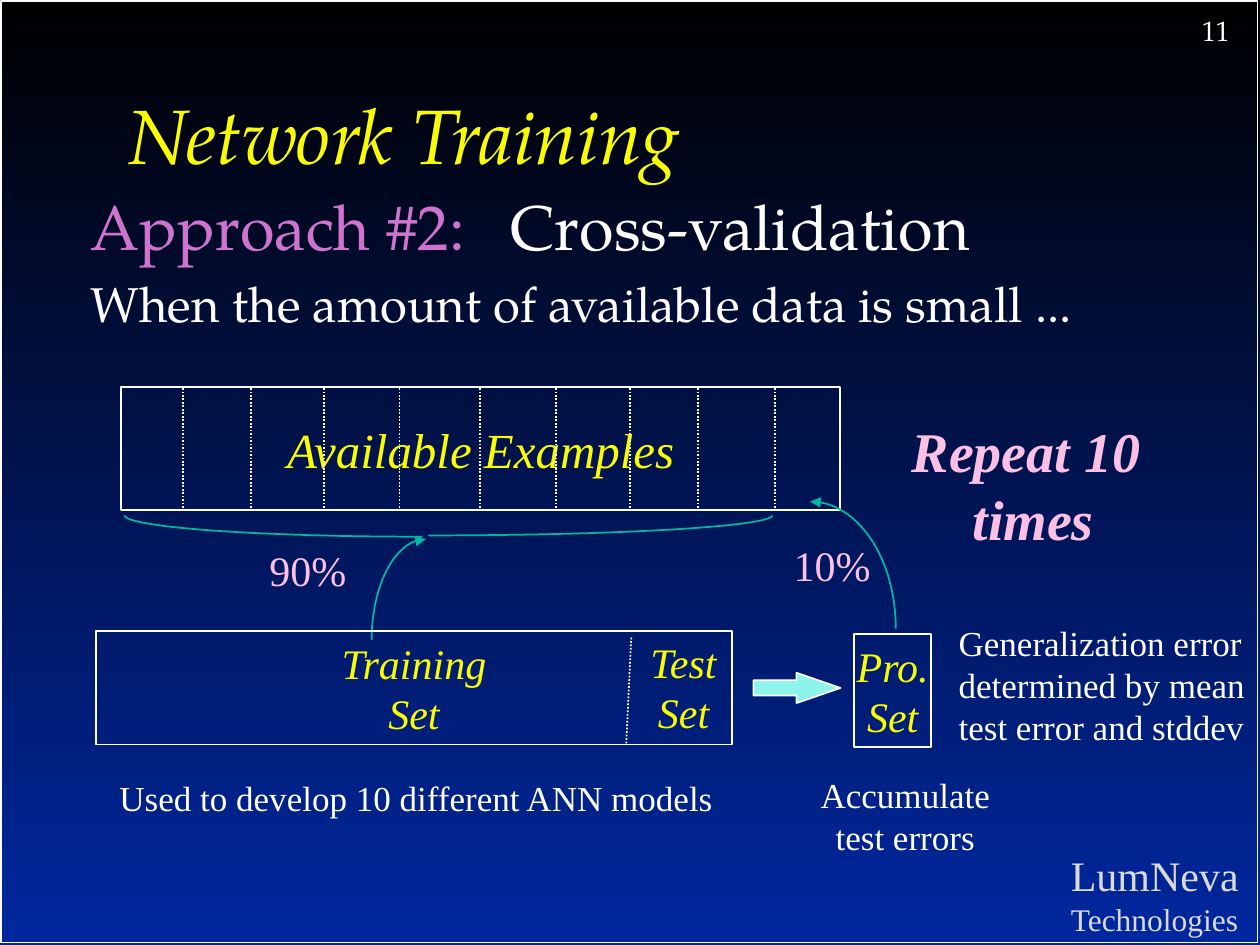
from math import cos, pi, sin

from lxml.etree import SubElement
from pptx import Presentation
from pptx.dml.color import RGBColor
from pptx.enum.dml import MSO_LINE
from pptx.enum.shapes import MSO_CONNECTOR, MSO_SHAPE
from pptx.enum.text import MSO_ANCHOR, MSO_AUTO_SIZE, PP_ALIGN
from pptx.oxml.ns import qn
from pptx.util import Inches, Pt

BLACK = RGBColor(0x00, 0x00, 0x00)
BLUE = RGBColor(0x00, 0x27, 0x9F)
WHITE = RGBColor(0xFF, 0xFF, 0xFF)
GRAY = RGBColor(0xDA, 0xDA, 0xDA)
YELLOW = RGBColor(0xFA, 0xFD, 0x00)
PURPLE = RGBColor(0xD0, 0x73, 0xCE)
PINK = RGBColor(0xFD, 0xC0, 0xE5)
TEAL = RGBColor(0x00, 0xB7, 0xA5)
AQUA = RGBColor(0x8C, 0xF4, 0xEA)
SERIF = "Times New Roman"
PALATINO = "TeX Gyre Pagella"
CENTER = PP_ALIGN.CENTER
MIDDLE = MSO_ANCHOR.MIDDLE


def format_run(run, size, color, font=SERIF, bold=False, italic=False):
    """Set the character format of a run."""
    run.font.size, run.font.name = Pt(size), font
    run.font.bold, run.font.italic = bold, italic
    run.font.color.rgb = color


def write(shape, text, size, color=WHITE, align=PP_ALIGN.LEFT,
          anchor=MSO_ANCHOR.TOP, wrap=False, **style):
    """Write each line of text as a formatted paragraph of the shape."""
    frame = shape.text_frame
    frame.auto_size = MSO_AUTO_SIZE.NONE
    frame.word_wrap, frame.vertical_anchor = wrap, anchor
    for index, line in enumerate(text.split("\n")):
        paragraph = frame.add_paragraph() if index else frame.paragraphs[0]
        paragraph.alignment = align
        run = paragraph.add_run()
        run.text = line
        format_run(run, size, color, **style)
    return frame


def add_text(slide, box, text, size, **style):
    """Add a text box at the given box in inches."""
    return write(slide.shapes.add_textbox(*map(Inches, box)), text, size, **style)


def add_outline(slide, box, kind=MSO_SHAPE.RECTANGLE, fill=None):
    """Add a white-outlined shape, filled only when a colour is given."""
    shape = slide.shapes.add_shape(kind, *map(Inches, box))
    shape.shadow.inherit = False
    shape.line.color.rgb, shape.line.width = WHITE, Pt(1)
    if fill is None:
        shape.fill.background()
    else:
        shape.fill.solid()
        shape.fill.fore_color.rgb = fill
    return shape


def add_divider(slide, *ends):
    """Add a dotted white line between two points in inches."""
    line = slide.shapes.add_connector(MSO_CONNECTOR.STRAIGHT, *map(Inches, ends))
    line.line.color.rgb, line.line.width = WHITE, Pt(1)
    line.line.dash_style = MSO_LINE.ROUND_DOT
    SubElement(line._element.spPr, qn("a:effectLst"))


def add_curve(slide, flat_end, steep_end, arrow=False, steps=32):
    """Add a quarter ellipse, level at its first end and upright at its last."""
    (x1, y1), (x2, y2) = flat_end, steep_end
    angles = [pi / 2 * step / steps for step in range(steps + 1)]
    points = [(Inches(x1 + (x2 - x1) * sin(angle)),
               Inches(y2 + (y1 - y2) * cos(angle))) for angle in angles]
    builder = slide.shapes.build_freeform(*points[0], scale=1.0)
    builder.add_line_segments(points[1:], close=False)
    curve = builder.convert_to_shape()
    curve.shadow.inherit = False
    curve.fill.background()
    curve.line.color.rgb, curve.line.width = TEAL, Pt(1)
    if arrow:
        SubElement(curve.line._get_or_add_ln(), qn("a:headEnd"), type="triangle")


def draw_frame(slide, left, top, width, height):
    """Draw the background, page border, page number and organisation name."""
    fill = slide.background.fill
    fill.gradient()
    fill.gradient_angle = 270
    for stop, color in zip(fill.gradient_stops, (BLACK, BLUE)):
        stop.color.rgb = color
    add_outline(slide, (left, top, width, height))
    right, bottom = left + width, top + height
    add_text(slide, (right - 0.54, top + 0.05, 0.5, 0.36), "11", 16, font=PALATINO)
    frame = add_text(slide, (right - 1.58, bottom - 0.79, 1.55, 0.8),
                     "LumNeva\nTechnologies", 24, color=GRAY)
    frame.paragraphs[1].runs[0].font.size = Pt(18)


def draw_heading(slide, left, top, width):
    """Place the title and the two lines that introduce the approach."""
    title = slide.shapes.title
    title.left, title.top = Inches(left + 0.3), Inches(top)
    title.width, title.height = Inches(width), Inches(1.21)
    write(title, "Network Training", 44, color=YELLOW, anchor=MIDDLE, wrap=True,
          font=PALATINO, italic=True)
    frame = add_text(slide, (left, top + 0.98, width, 1.4),
                     "Approach #2:\t\nWhen the amount of available data is small ...",
                     28, wrap=True, font=PALATINO)
    approach, condition = frame.paragraphs
    format_run(approach.runs[0], 36, PURPLE, font=PALATINO)
    method = approach.add_run()
    method.text = "Cross-validation"
    format_run(method, 36, WHITE, font=PALATINO)
    approach.space_before, condition.space_before = Pt(7), Pt(6)
    tabs = SubElement(approach._p.get_or_add_pPr(), qn("a:tabLst"))
    SubElement(tabs, qn("a:tab"), pos=str(Inches(3.33)), algn="l")


def draw_examples(slide, left, top, width, height):
    """Draw the bar of available examples, cut into ten folds."""
    bar = add_outline(slide, (left, top, width, height))
    write(bar, "Available Examples", 28, color=YELLOW, align=CENTER,
          anchor=MIDDLE, italic=True)
    for offset in (0.49, 1.03, 1.61, 2.21, 2.85, 3.45, 4.04, 4.58, 5.19):
        x = left + offset
        add_divider(slide, x, top + 0.01, x, top + height - 0.01)
    add_text(slide, (left + width + 0.46, top + 0.19, 2.03, 1.18),
             "Repeat 10\n times", 32, color=PINK, align=CENTER, bold=True, italic=True)


def draw_split(slide, left, top):
    """Draw the brace, the arrows and the shares of the folds."""
    brace_top = top + 0.11
    add_curve(slide, (left + 2.39, top + 0.28), (left + 0.03, brace_top))
    add_curve(slide, (left + 2.44, top + 0.27), (left + 5.17, brace_top))
    add_curve(slide, (left + 2.42, top + 0.3), (left + 1.99, top + 1.1), arrow=True)
    add_curve(slide, (left + 5.47, top), (left + 6.15, top + 1.01), arrow=True)
    for x, y, share in ((1.08, 0.29, "90%"), (5.24, 0.25, "10%")):
        add_text(slide, (left + x, top + y, 0.82, 0.51), share, 24, color=PINK)


def draw_sets(slide, left, top, height):
    """Draw the training, test and production sets with their captions."""
    label = dict(color=YELLOW, align=CENTER, anchor=MIDDLE, italic=True)
    training = add_outline(slide, (left, top, 5.05, height))
    write(training, "Training\nSet", 24, **label)
    add_divider(slide, left + 4.25, top + 0.05, left + 4.21, top + height)
    add_text(slide, (left + 4.28, top - 0.01, 0.77, height), "Test\nSet", 24, **label)
    production = add_outline(slide, (left + 6.02, top + 0.02, 0.61, height))
    write(production, "Pro.\nSet", 24, **label)
    arrow = add_outline(slide, (left + 5.22, top + 0.33, 0.69, 0.24),
                        MSO_SHAPE.RIGHT_ARROW, AQUA)
    arrow.adjustments[0], arrow.adjustments[1] = 0.5, 1.45
    add_text(slide, (left + 0.09, top + 1.1, 4.93, 0.44),
             "Used to develop 10 different ANN models", 20)
    add_text(slide, (left + 5.65, top + 1.08, 1.55, 0.78),
             "Accumulate\ntest errors", 20, align=CENTER)
    add_text(slide, (left + 6.75, top - 0.13, 2.48, 1.11),
             "Generalization error\ndetermined by mean\ntest error and stddev", 20)


def main():
    """Build the cross-validation slide and save it."""
    presentation = Presentation()
    presentation.slide_width, presentation.slide_height = Inches(10), Inches(7.5)
    slide = presentation.slides.add_slide(presentation.slide_layouts[5])
    draw_frame(slide, 0.01, 0.01, 9.97, 7.47)
    draw_heading(slide, 0.62, 0.46, 8.5)
    draw_examples(slide, 0.96, 3.07, 5.71, 0.98)
    draw_split(slide, 0.96, 3.98)
    draw_sets(slide, 0.76, 5.01, 0.9)
    presentation.save("out.pptx")


if __name__ == "__main__":
    main()
